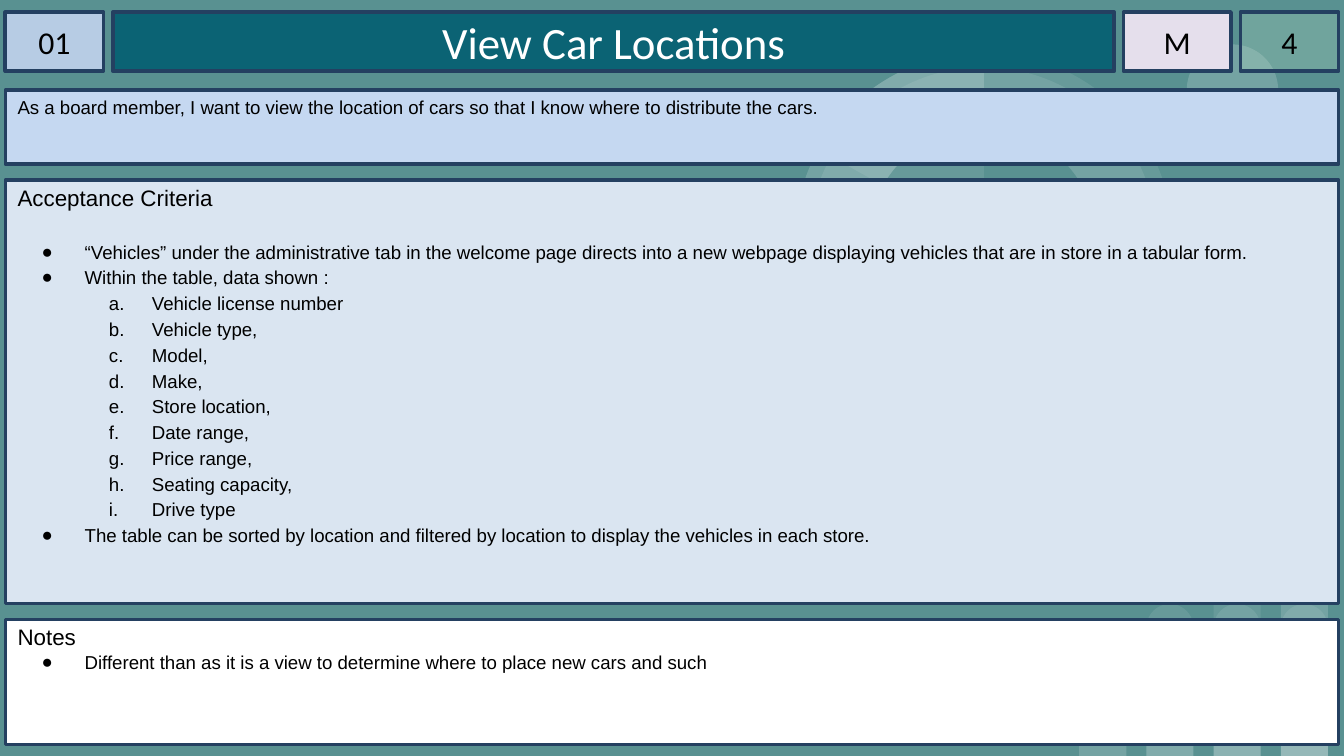
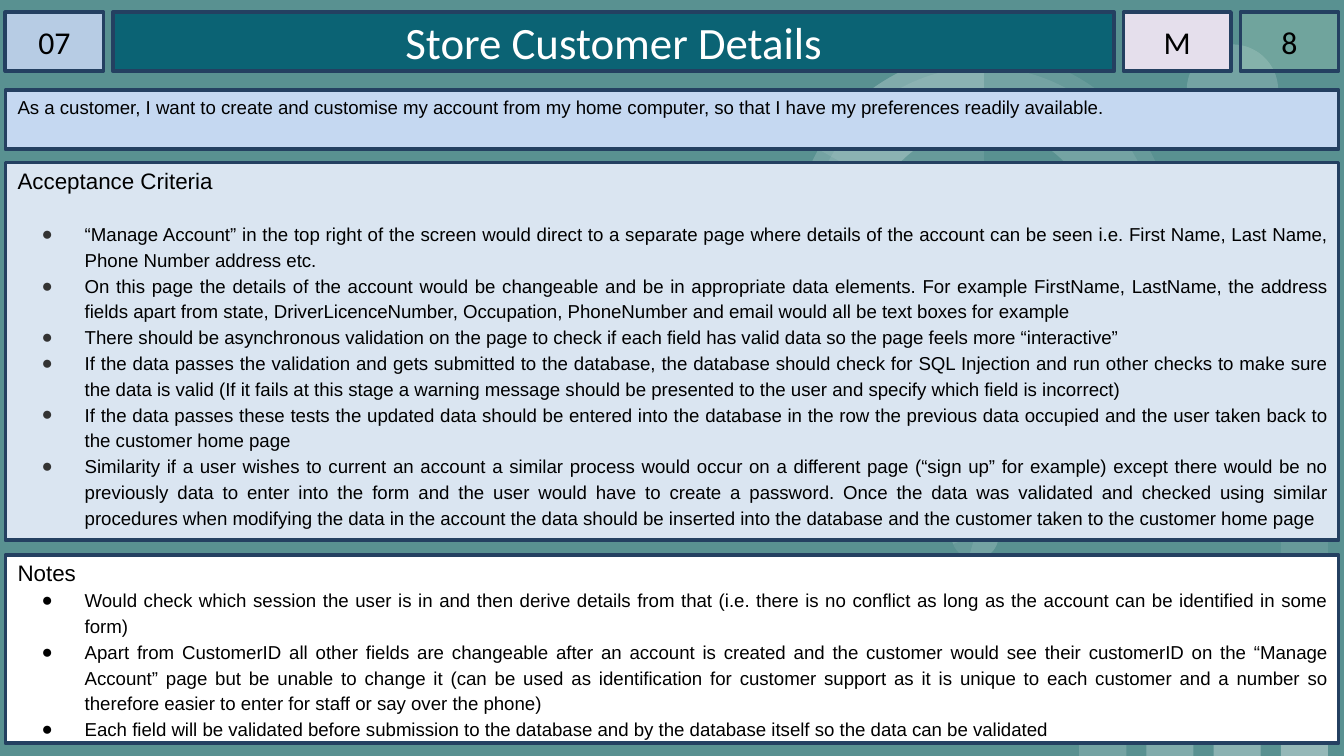
from dataclasses import dataclass

from lxml.etree import SubElement
from pptx import Presentation
from pptx.dml.color import RGBColor
from pptx.enum.shapes import MSO_SHAPE
from pptx.enum.text import MSO_ANCHOR, PP_ALIGN
from pptx.oxml.ns import qn
from pptx.util import Inches, Pt


@dataclass(frozen=True)
class Theme:
    background: str = "599191"
    white: str = "FFFFFF"
    ink: str = "000000"
    border: str = "244061"
    number: str = "B7CCE4"
    title: str = "0B6374"
    priority: str = "E5DFEC"
    points: str = "CCF0CD"
    story: str = "C5D8F1"
    criteria: str = "DAE5F1"
    soft_bullet: str = "333333"
    heading_font: str = "Calibri"
    body_font: str = "Arial"
    title_size: int = 24
    badge_size: int = 17
    label_size: int = 12
    body_size: int = 10
    border_width: int = 2
    veil: int = 9
    points_opacity: int = 20


theme = Theme()
presentation = Presentation()
presentation.slide_width = Inches(10)
presentation.slide_height = Inches(5.625)
cell = presentation.slide_width / 100
bottom_row = presentation.slide_height / cell


def add_block(slide, kind, place, color, opacity=100, bordered=False):
    shape = slide.shapes.add_shape(kind, *[round(length * cell) for length in place])
    shape.shadow.inherit = False
    shape.fill.solid()
    shape.fill.fore_color.rgb = RGBColor.from_string(color)
    if opacity < 100:
        fill_color = shape.element.spPr.find(qn("a:solidFill"))[0]
        SubElement(fill_color, qn("a:alpha"), val=str(opacity * 1000))
    if bordered:
        shape.line.color.rgb = RGBColor.from_string(theme.border)
        shape.line.width = Pt(theme.border_width)
    else:
        shape.line.fill.background()
    return shape


def write(paragraph, text, font, size, color, alignment=PP_ALIGN.LEFT):
    paragraph.text = text
    paragraph.alignment = alignment
    for run in paragraph.runs:
        run.font.name = font
        run.font.size = Pt(size)
        run.font.color.rgb = RGBColor.from_string(color)


small_disc = (88.3, 3.3, 6.8)
large_disc = (59.1, 3.9, 28.2)
spot = (70.8, 38.1, 3.5)
discs = [
    (small_disc, 215.9, None, theme.white, theme.veil),
    (small_disc, 215.9, (322.95, 205.23), theme.white, theme.veil),
    (large_disc, 0, None, theme.white, theme.veil),
    ((60.2, 5, 25.9), 34.1, None, theme.white, theme.veil),
    (large_disc, 0, (146.69, 270), theme.white, theme.veil),
    ((64.6, 9.5, 17), 34.1, None, theme.background, 100),
    (large_disc, 0, (209.24, 270), theme.white, theme.veil),
]
spot_discs = [
    (spot, 196.2, None, theme.white, theme.veil),
    (spot, 196.2, (322.95, 270), theme.white, theme.veil),
]

stories = [
    {
        "number": "01",
        "title": "View Car Locations",
        "priority": "M",
        "points": "4",
        "discs": discs,
        "rows": [(6.7, 5.5), (13.4, 31.5), (46.1, 9.3)],
        "story": "As a board member, I want to view the location of cars so that I know where to distribute the cars.",
        "criteria_bullet": theme.ink,
        "criteria": [
            (0, "“Vehicles” under the administrative tab in the welcome page directs into a new webpage displaying vehicles that are in store in a tabular form."),
            (0, "Within the table, data shown :"),
            (1, "Vehicle license number"),
            (1, "Vehicle type,"),
            (1, "Model,"),
            (1, "Make,"),
            (1, "Store location,"),
            (1, "Date range,"),
            (1, "Price range,"),
            (1, "Seating capacity,"),
            (1, "Drive type"),
            (0, "The table can be sorted by location and filtered by location to display the vehicles in each store."),
        ],
        "notes_format": (PP_ALIGN.LEFT, 1.0),
        "notes": [
            (0, "Different than as it is a view to determine where to place new cars and such"),
        ],
    },
    {
        "number": "07",
        "title": "Store Customer Details",
        "priority": "M",
        "points": "8",
        "discs": discs + spot_discs,
        "rows": [(6.7, 4.4), (12.1, 28.1), (41.3, 14)],
        "story": "As a customer, I want to create and customise my account from my home computer, so that I have my preferences readily available.",
        "criteria_bullet": theme.soft_bullet,
        "criteria": [
            (0, "“Manage Account” in the top right of the screen would direct to a separate page where details of the account can be seen i.e. First Name, Last Name, Phone Number address etc."),
            (0, "On this page the details of the account would be changeable and be in appropriate data elements. For example FirstName, LastName, the address fields apart from state, DriverLicenceNumber, Occupation, PhoneNumber and email would all be text boxes for example"),
            (0, "There should be asynchronous validation on the page to check if each field has valid data so the page feels more “interactive”"),
            (0, "If the data passes the validation and gets submitted to the database, the database should check for SQL Injection and run other checks to make sure the data is valid (If it fails at this stage a warning message should be presented to the user and specify which field is incorrect)"),
            (0, "If the data passes these tests the updated data should be entered into the database in the row the previous data occupied and the user taken back to the customer home page"),
            (0, "Similarity if a user wishes to current an account a similar process would occur on a different page (“sign up” for example) except there would be no previously data to enter into the form and the user would have to create a password. Once the data was validated and checked using similar procedures when modifying the data in the account the data should be inserted into the database and the customer taken to the customer home page"),
        ],
        "notes_format": (PP_ALIGN.JUSTIFY, 1.15),
        "notes": [
            (0, "Would check which session the user is in and then derive details from that (i.e. there is no conflict as long as the account can be identified in some form)"),
            (0, "Apart from CustomerID all other fields are changeable after an account is created and the customer would see their customerID on the “Manage Account” page but be unable to change it (can be used as identification for customer support as it is unique to each customer and a number so therefore easier to enter for staff or say over the phone)"),
            (0, "Each field will be validated before submission to the database and by the database itself so the data can be validated"),
        ],
    },
]

margin = 0.4
header_gap = 0.7
header = [
    ("number", 7.3, theme.number, 100, theme.badge_size, theme.ink),
    ("title", 74.5, theme.title, 100, theme.title_size, theme.white),
    ("priority", 8, theme.priority, 100, theme.badge_size, theme.ink),
    ("points", 7.3, theme.points, theme.points_opacity, theme.badge_size, theme.ink),
]

for story in stories:
    slide = presentation.slides.add_slide(presentation.slide_layouts[6])
    slide.background.fill.solid()
    slide.background.fill.fore_color.rgb = RGBColor.from_string(theme.background)

    for column in range(4):
        for step in range(1, column + 3):
            height = step * 3.77
            place = (80.3 + column * 5, bottom_row - height, 3.5, height)
            bar = add_block(slide, MSO_SHAPE.ROUND_2_SAME_RECTANGLE, place, theme.white, theme.veil)
            bar.adjustments[0] = 0.5
            bar.adjustments[1] = 0

    for (left, top, size), rotation, angles, color, opacity in story["discs"]:
        kind = MSO_SHAPE.PIE if angles else MSO_SHAPE.OVAL
        disc = add_block(slide, kind, (left, top, size, size), color, opacity)
        disc.rotation = rotation
        for index, angle in enumerate(angles or ()):
            disc.adjustments[index] = angle * 0.6

    left = margin
    for name, width, color, opacity, size, ink in header:
        box = add_block(slide, MSO_SHAPE.RECTANGLE, (left, 0.9, width, 4.4), color, opacity, True)
        frame = box.text_frame
        frame.word_wrap = True
        frame.vertical_anchor = MSO_ANCHOR.MIDDLE
        frame.margin_left = frame.margin_right = 0
        frame.margin_top = frame.margin_bottom = round(0.4 * cell)
        write(frame.paragraphs[0], story[name], theme.heading_font, size, ink, PP_ALIGN.CENTER)
        left += width + header_gap

    panels = [
        (theme.story, 0.4, story["story"], theme.body_size, 0, [], theme.ink, (PP_ALIGN.LEFT, 1.0)),
        (theme.criteria, 0.3, "Acceptance Criteria", theme.label_size, 14,
         story["criteria"], story["criteria_bullet"], (PP_ALIGN.JUSTIFY, 1.15)),
        (theme.white, 0.3, "Notes", theme.label_size, 0,
         story["notes"], theme.ink, story["notes_format"]),
    ]
    for (top, height), panel in zip(story["rows"], panels):
        color, inset, label, size, space, items, bullet_color, (alignment, spacing) = panel
        place = (margin, top, 100 - 2 * margin, height)
        box = add_block(slide, MSO_SHAPE.RECTANGLE, place, color, bordered=True)
        frame = box.text_frame
        frame.word_wrap = True
        frame.vertical_anchor = MSO_ANCHOR.TOP
        frame.margin_left = frame.margin_right = round(0.9 * cell)
        frame.margin_top = round(inset * cell)
        frame.margin_bottom = round(0.4 * cell)
        write(frame.paragraphs[0], label, theme.body_font, size, theme.ink)
        frame.paragraphs[0].space_after = Pt(space)
        for level, text in items:
            paragraph = frame.add_paragraph()
            write(paragraph, text, theme.body_font, theme.body_size, theme.ink, alignment)
            paragraph.level = level
            paragraph.line_spacing = spacing
            properties = paragraph._p.get_or_add_pPr()
            properties.set("marL", str(round(5 * (level + 1) * cell)))
            properties.set("indent", str(round(-3.2 * cell)))
            bullet_fill = SubElement(properties, qn("a:buClr"))
            SubElement(bullet_fill, qn("a:srgbClr"), val=bullet_color)
            SubElement(properties, qn("a:buFont"), typeface=theme.body_font)
            if level:
                SubElement(properties, qn("a:buAutoNum"), type="alphaLcPeriod")
            else:
                SubElement(properties, qn("a:buChar"), char="●")

presentation.save("out.pptx")
